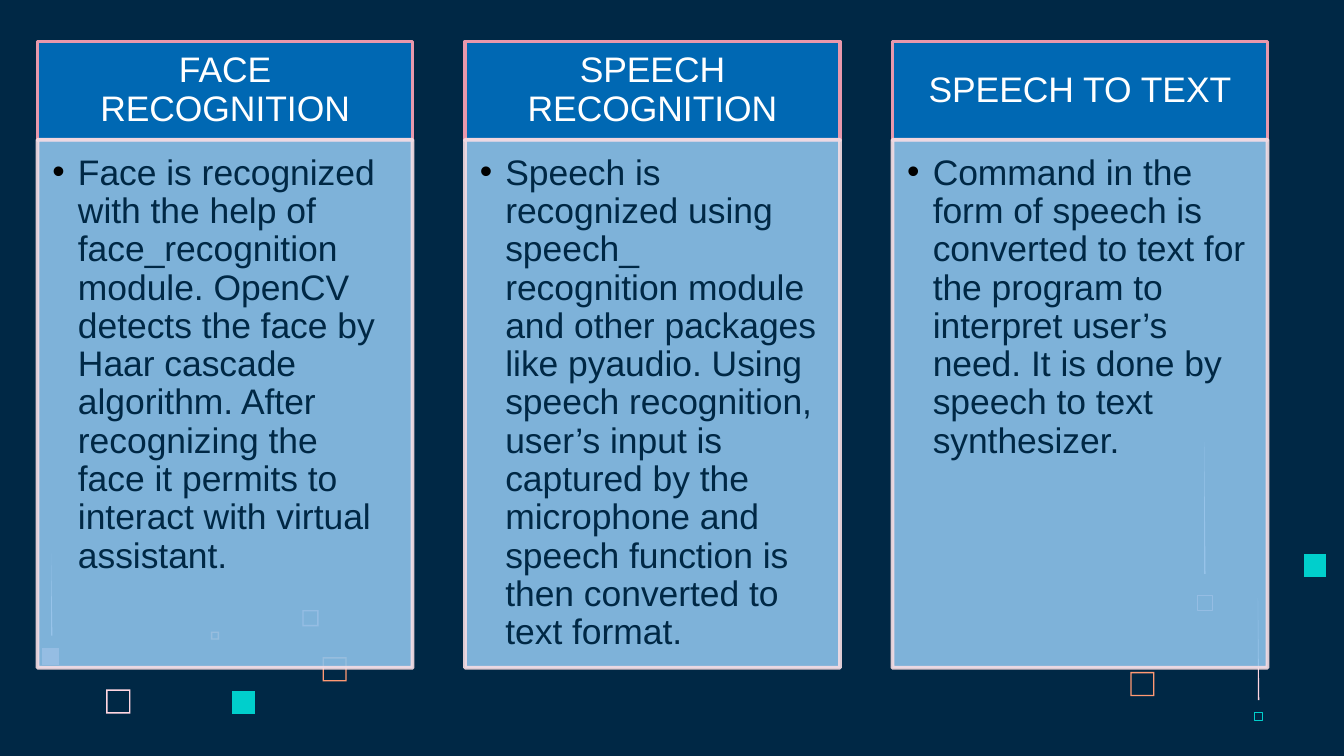
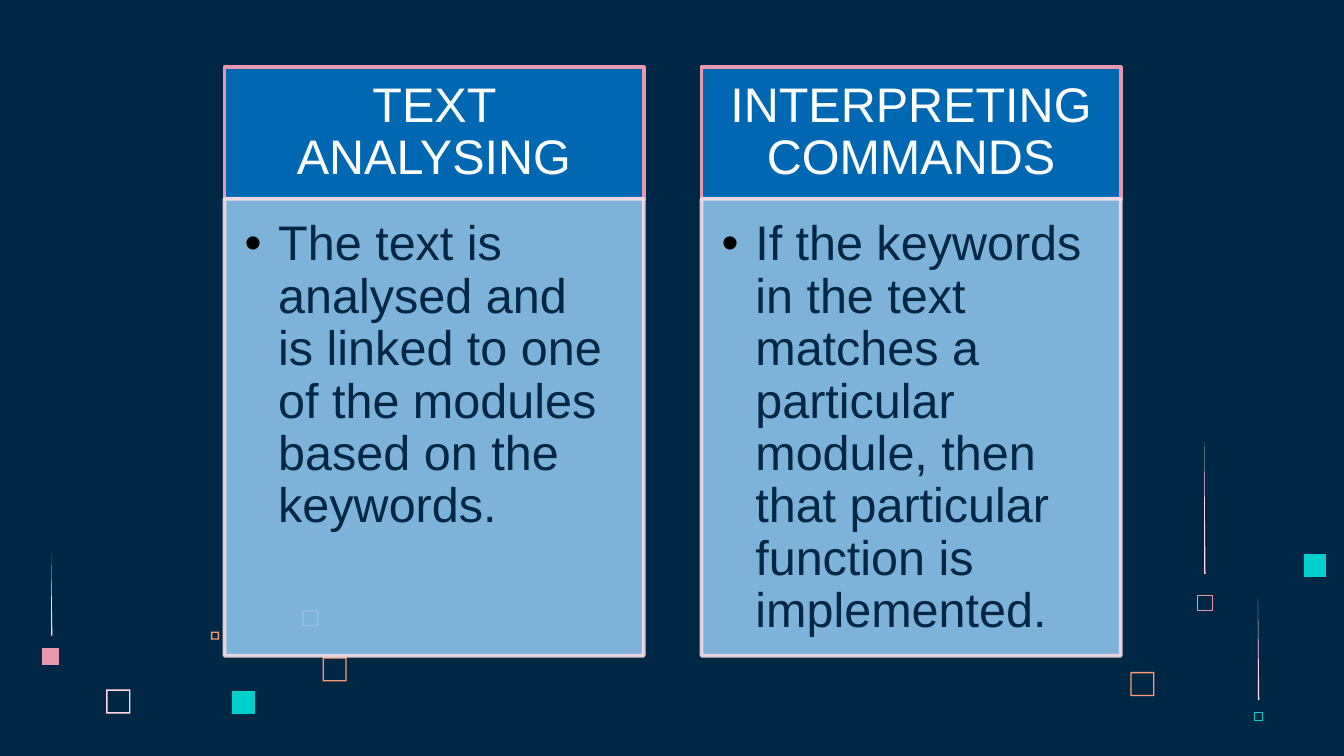
"""Build two slides of titled panels describing the modules of a virtual assistant."""
from lxml import etree
from pptx import Presentation, util as u
from pptx.dml.color import RGBColor
from pptx.enum import shapes, text
from pptx.oxml.ns import qn

COLORS = {
    "navy": "002845", "blue": "0068B3", "sky": "8CC2EA", "white": "FFFFFF",
    "rose": "E898AC", "blush": "F6DDE3", "pink": "FFD6E1",
    "orange": "FF9973", "teal": "00CFCC", "black": "000000",
}
FONT = "Arial"

SLIDES = [
    {
        "left": 0.28, "top": 0.31, "step": 3.18, "width": 2.79,
        "head": 0.73, "body": 3.93, "size": 19, "indent": 0.19,
        "head_insets": (0.15, 0.08, 0.15, 0.08),
        "body_insets": (0.11, 0.11, 0.15, 0.17),
        "panels": [
            ("FACE RECOGNITION",
             "Face is recognized with the help of face_recognition module. OpenCV detects "
             "the face by Haar cascade algorithm. After recognizing the face it permits to "
             "interact with virtual assistant."),
            ("SPEECH RECOGNITION",
             "Speech is recognized using speech_ recognition module and other packages like "
             "pyaudio. Using speech recognition, user’s input is captured by the microphone "
             "and speech function is then converted to text format."),
            ("SPEECH TO TEXT",
             "Command in the form of speech is converted to text for the program to "
             "interpret user’s need. It is done by speech to text synthesizer."),
        ],
    },
    {
        "left": 1.67, "top": 0.5, "step": 3.55, "width": 3.12,
        "head": 0.98, "body": 3.4, "size": 26, "indent": 0.25,
        "head_insets": (0.2, 0.12, 0.2, 0.12),
        "body_insets": (0.15, 0.15, 0.22, 0.23),
        "panels": [
            ("TEXT ANALYSING",
             "The text is analysed and is linked to one of the modules based on the keywords."),
            ("INTERPRETING COMMANDS",
             "If the keywords in the text matches a particular module, then that particular "
             "function is implemented."),
        ],
    },
]

FRAMES = [
    (0.79, 5.13, 0.18, "pink"), (2.25, 4.54, 0.12, "rose"), (1.57, 4.7, 0.06, "orange"),
    (2.4, 4.89, 0.18, "orange"), (8.41, 5, 0.18, "orange"),
]
SOLIDS = [
    (1.73, 5.14, 0.17, "teal"), (0.31, 4.82, 0.13, "rose"), (9.7, 4.12, 0.17, "teal"),
]
OUTLINES = [(8.91, 4.43, 0.11, "rose"), (9.33, 5.3, 0.06, "teal")]
STREAKS = [(8.96, 3.29, 0.98), (0.38, 4.12, 0.61), (9.36, 4.45, 0.76)]


def rgb(name):
    return RGBColor.from_string(COLORS[name])


def paint(sp, fill=None, line=None, weight=2, alpha=None):
    sp.shadow.inherit = False
    for fmt, name in ((sp.fill, fill), (sp.line.fill, line)):
        if name is None:
            fmt.background()
        else:
            fmt.solid()
            fmt.fore_color.rgb = rgb(name)
    if line:
        sp.line.width = u.Pt(weight)
    if alpha:
        for clr in sp._element.spPr.iter(qn("a:srgbClr")):
            etree.SubElement(clr, qn("a:alpha"), val=str(alpha * 1000))


def square(x, y, size):
    return [(x, y), (x + size, y), (x + size, y + size), (x, y + size)]


def outline(s, *contours):
    first, *rest = [[(u.Inches(x), u.Inches(y)) for x, y in c] for c in contours]
    fb = s.shapes.build_freeform(*first[0])
    fb.add_line_segments(first[1:], close=True)
    for points in rest:
        fb.move_to(*points[0])
        fb.add_line_segments(points[1:], close=True)
    return fb.convert_to_shape()


def decorate(s):
    edge = 0.01
    for x, y, size, color in FRAMES:
        hole = square(x + edge, y + edge, size - 2 * edge)
        paint(outline(s, square(x, y, size), hole[::-1]), color)
    for x, y, size, color in SOLIDS:
        paint(outline(s, square(x, y, size)), color)
    for x, y, size, color in OUTLINES:
        paint(outline(s, square(x, y, size)), line=color, weight=0.23)
    for x, y, length in STREAKS:
        paint(outline(s, [(x, y), (x, y + length), (x + 0.01, y + length)]), "pink")


def add_box(s, box, words, insets, size, color, anchor):
    sp = s.shapes.add_shape(shapes.MSO_SHAPE.RECTANGLE, *map(u.Inches, box))
    tf = sp.text_frame
    tf.word_wrap = True
    tf.vertical_anchor = anchor
    tf.margin_left, tf.margin_top, tf.margin_right, tf.margin_bottom = map(u.Inches, insets)
    tf.text = words
    p = tf.paragraphs[0]
    p.line_spacing = 0.9
    r = p.runs[0]
    r.font.name, r.font.size, r.font.color.rgb = FONT, u.Pt(size), rgb(color)
    return sp, p


def add_bullet(p, indent):
    p.level = 1
    pPr = p._p.get_or_add_pPr()
    pPr.set("marL", str(u.Inches(indent)))
    pPr.set("indent", str(-u.Inches(indent)))
    clr = etree.SubElement(pPr, qn("a:buClr"))
    etree.SubElement(clr, qn("a:srgbClr"), val=COLORS["black"])
    etree.SubElement(pPr, qn("a:buFont"), typeface=FONT)
    etree.SubElement(pPr, qn("a:buChar"), char="•")


def add_panels(s, d):
    for i, (title, words) in enumerate(d["panels"]):
        x = d["left"] + i * d["step"]
        sp, p = add_box(s, (x, d["top"], d["width"], d["head"]), title,
                        d["head_insets"], d["size"], "white", text.MSO_ANCHOR.MIDDLE)
        p.alignment = text.PP_ALIGN.CENTER
        paint(sp, "blue", "rose")
        sp, p = add_box(s, (x, d["top"] + d["head"], d["width"], d["body"]), words,
                        d["body_insets"], d["size"], "navy", text.MSO_ANCHOR.TOP)
        p.alignment = text.PP_ALIGN.LEFT
        add_bullet(p, d["indent"])
        paint(sp, "sky", "blush", alpha=90)


def main():
    prs = Presentation()
    prs.slide_width = u.Inches(10)
    prs.slide_height = prs.slide_width * 9 // 16
    for d in SLIDES:
        s = prs.slides.add_slide(prs.slide_layouts[6])
        s.background.fill.solid()
        s.background.fill.fore_color.rgb = rgb("navy")
        decorate(s)
        add_panels(s, d)
    prs.save("out.pptx")


if __name__ == "__main__":
    main()
